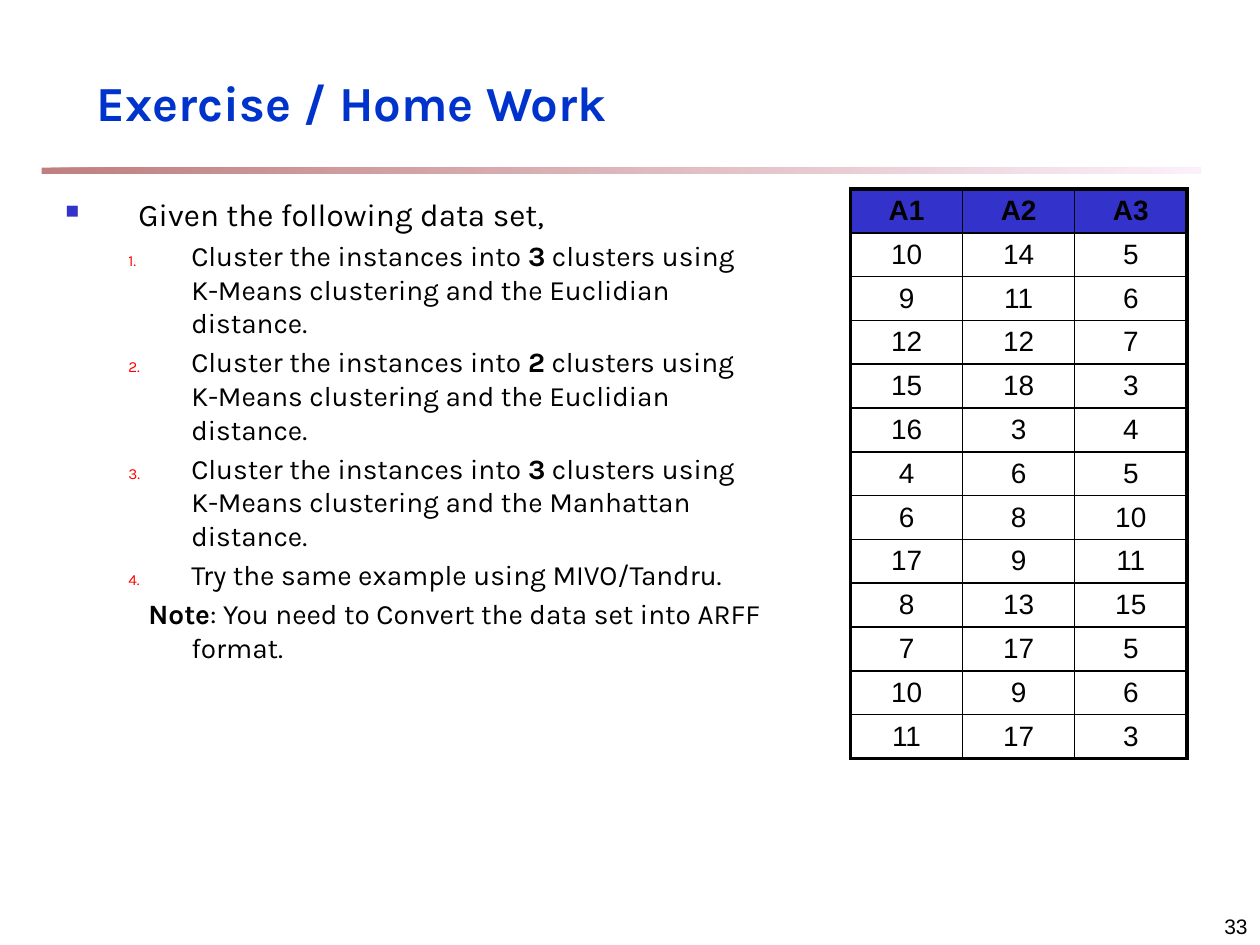
from lxml.etree import SubElement
from pptx import Presentation
from pptx.dml.color import RGBColor
from pptx.enum.shapes import MSO_SHAPE
from pptx.enum.text import MSO_ANCHOR, PP_ALIGN
from pptx.oxml.ns import qn
from pptx.util import Inches, Pt

# Content
TITLE = "Exercise / Home Work"
INTRO = "Given the following data set,"
USING = " clusters using K-Means clustering and the {} distance."
TASKS = [
    [("Cluster the instances into ", False), (count, True),
     (USING.format(distance), False)]
    for count, distance in [("3", "Euclidian"), ("2", "Euclidian"), ("3", "Manhattan")]
] + [[("Try the same example using MIVO/Tandru.", False)]]
NOTE = [("Note", True), (": You need to Convert the data set into ARFF format.", False)]
PAGE_NUMBER = "33"
HEADERS = ["A1", "A2", "A3"]
INSTANCES = [
    (10, 14, 5), (9, 11, 6), (12, 12, 7), (15, 18, 3), (16, 3, 4), (4, 6, 5),
    (6, 8, 10), (17, 9, 11), (8, 13, 15), (7, 17, 5), (10, 9, 6), (11, 17, 3),
]

BLACK, BLUE, INDIGO, RED = "000000", "0033CC", "3333CC", "FF0000"
THIN, THICK = 1, 2.25


def color(hex_code):
    return RGBColor.from_string(hex_code)


def add_run(paragraph, text, size, font="Karla", ink=BLACK, bold=False):
    run = paragraph.add_run()
    run.text = text
    run.font.size, run.font.name, run.font.bold = Pt(size), font, bold
    run.font.color.rgb = color(ink)


def add_text_frame(slide, left, top, width, height, anchor=MSO_ANCHOR.TOP):
    box = slide.shapes.add_textbox(*map(Inches, (left, top, width, height)))
    box.text_frame.word_wrap = True
    box.text_frame.vertical_anchor = anchor
    return box.text_frame


def set_layout(paragraph, margin, indent, size):
    paragraph.space_before = Pt(0.2 * size)
    properties = paragraph._p.get_or_add_pPr()
    properties.set("marL", str(Inches(margin)))
    properties.set("indent", str(Inches(indent)))


def add_bullet(paragraph, ink, percent, tag, **attributes):
    properties = paragraph._p.get_or_add_pPr()
    SubElement(SubElement(properties, qn("a:buClr")), qn("a:srgbClr"), val=ink)
    SubElement(properties, qn("a:buSzPct"), val=str(percent * 1000))
    SubElement(properties, qn(tag), **attributes)


def set_border(cell, side, width):
    line = SubElement(cell._tc.get_or_add_tcPr(), qn(f"a:ln{side}"), w=str(Pt(width)))
    SubElement(SubElement(line, qn("a:solidFill")), qn("a:srgbClr"), val=BLACK)


def add_rule(slide):
    rule = slide.shapes.add_shape(
        MSO_SHAPE.RECTANGLE, Inches(0.33), Inches(1.33), Inches(9.2), Inches(0.05))
    rule.shadow.inherit = False
    rule.line.fill.background()
    rule.fill.gradient()
    rule.fill.gradient_angle = 0
    for stop, position, ink in zip(rule.fill.gradient_stops, (0, 1), ("800000", "FAE2F6")):
        stop.position = position
        stop.color.rgb = color(ink)
        SubElement(stop._gs.find(qn("a:srgbClr")), qn("a:alpha"), val="50000")


def add_exercise(slide):
    frame = add_text_frame(slide, 0.42, 1.5, 5.75, 4.33)
    intro = frame.paragraphs[0]
    set_layout(intro, 0.58, -0.58, 18)
    add_bullet(intro, INDIGO, 60, "a:buChar", char="■")
    add_run(intro, INTRO, 18)

    for runs in TASKS + [NOTE]:
        paragraph = frame.add_paragraph()
        paragraph.level = 1
        is_note = runs is NOTE
        set_layout(paragraph, 1, -0.34 if is_note else -0.5, 16)
        if not is_note:
            add_bullet(paragraph, RED, 55, "a:buAutoNum", type="arabicPeriod")
        for text, bold in runs:
            add_run(paragraph, text, 16, bold=bold)


def add_data_set(slide):
    rows = [HEADERS] + INSTANCES
    last_row, last_column = len(rows) - 1, len(HEADERS) - 1
    table = slide.shapes.add_table(
        len(rows), len(HEADERS), Inches(6.75), Inches(1.5), Inches(2.67), Inches(4.52)).table
    for r, values in enumerate(rows):
        for c, value in enumerate(values):
            cell = table.cell(r, c)
            cell.vertical_anchor = MSO_ANCHOR.MIDDLE
            cell.margin_top = cell.margin_bottom = Inches(0.04)
            paragraph = cell.text_frame.paragraphs[0]
            paragraph.alignment = PP_ALIGN.CENTER
            add_run(paragraph, str(value), 16, "Arial", bold=r == 0)
            # Thick outer frame, thin inner grid
            outer = {"L": c == 0, "R": c == last_column, "T": r == 0, "B": r == last_row}
            for side, is_outer in outer.items():
                set_border(cell, side, THICK if is_outer else THIN)
            if r == 0:
                cell.fill.solid()
                cell.fill.fore_color.rgb = color(INDIGO)
            else:
                cell.fill.background()


def main():
    deck = Presentation()
    deck.slide_width, deck.slide_height = Inches(10), Inches(7.5)
    slide = deck.slides.add_slide(deck.slide_layouts[6])

    add_rule(slide)

    # Page number
    number = add_text_frame(slide, 7.92, 7.08, 2.08, 0.42, MSO_ANCHOR.BOTTOM).paragraphs[0]
    number.alignment = PP_ALIGN.RIGHT
    add_run(number, PAGE_NUMBER, 12, "Arial")

    # Title
    title = add_text_frame(slide, 0.67, 0.42, 8.52, 0.67, MSO_ANCHOR.BOTTOM).paragraphs[0]
    add_run(title, TITLE, 28, ink=BLUE, bold=True)

    add_exercise(slide)
    add_data_set(slide)
    deck.save("out.pptx")


if __name__ == "__main__":
    main()
